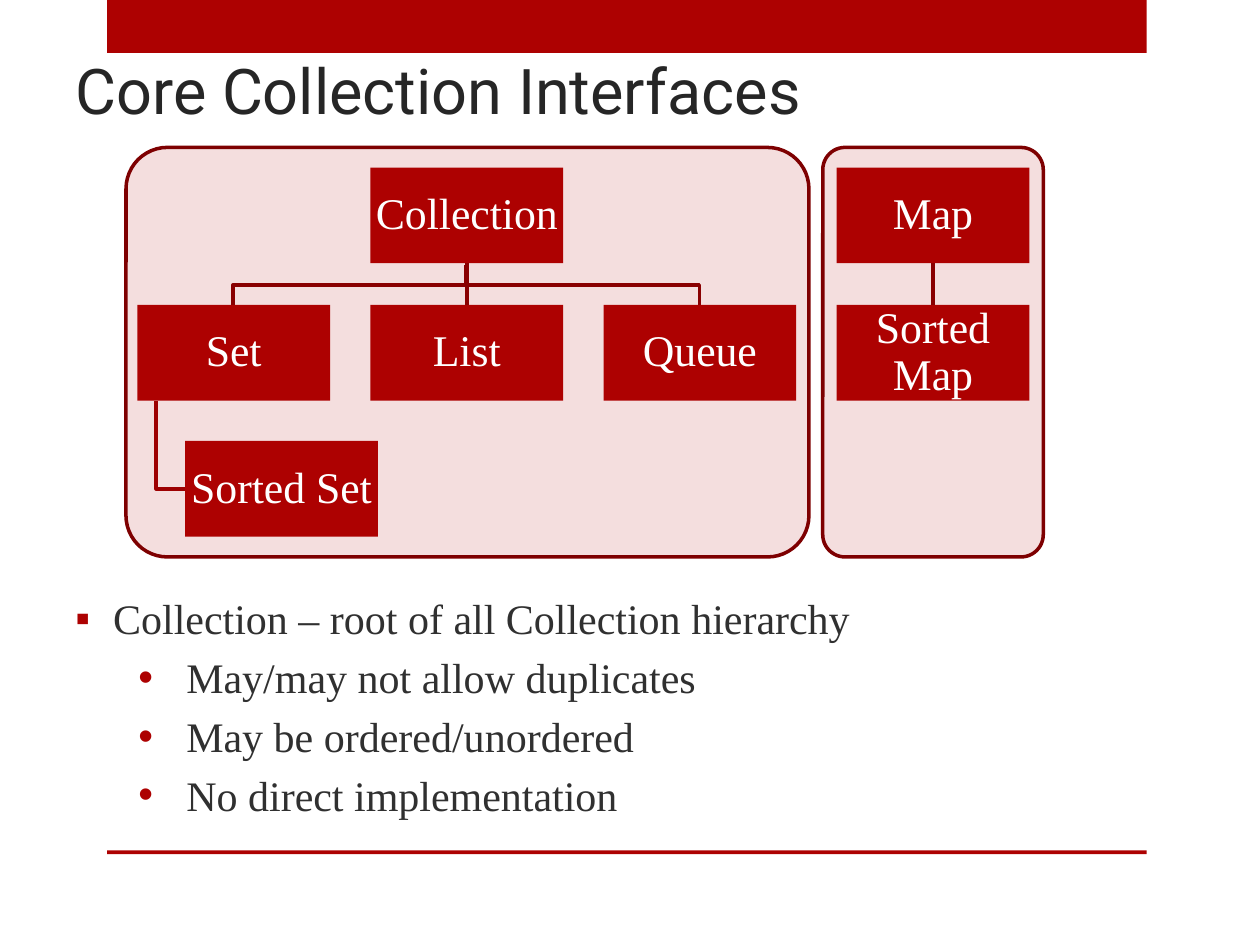
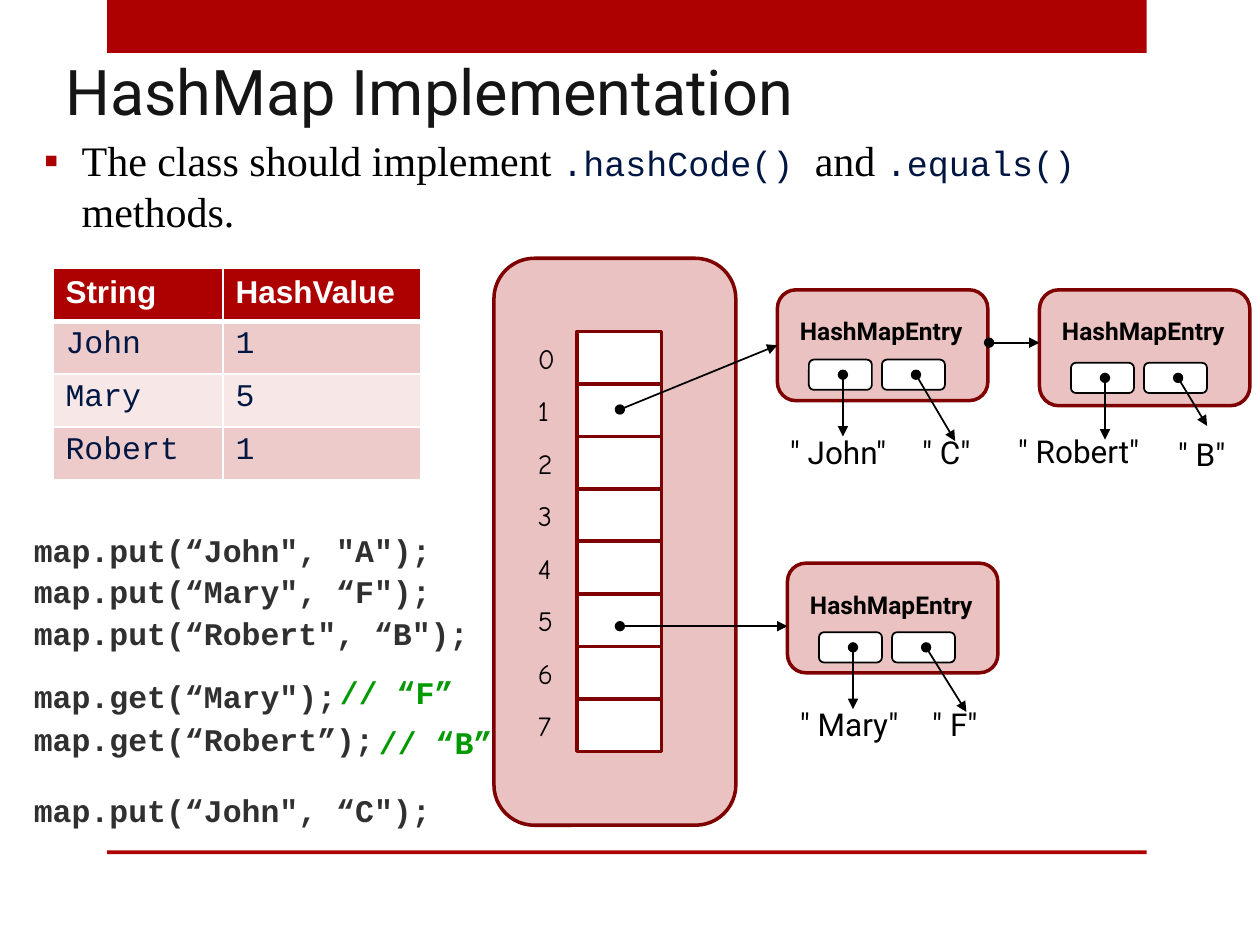
from lxml.etree import SubElement
from pptx import Presentation
from pptx.dml.color import RGBColor
from pptx.enum.shapes import MSO_CONNECTOR, MSO_SHAPE
from pptx.enum.text import MSO_ANCHOR, PP_ALIGN
from pptx.oxml.ns import qn
from pptx.util import Inches, Pt

RED = "AD0101"
DARK_RED = "7E0001"
LINK_RED = "890001"
WHITE = "FFFFFF"
BLACK = "000000"
GREY = "303030"
NAVY = "001642"
GREEN = "009900"
SERIF = "Times New Roman"
CODE = "Courier New"
SANS = "Roboto"


def color(value):
    """Turn a hex string into a colour."""
    return RGBColor.from_string(value)


def inches(values):
    """Turn plain numbers into lengths."""
    return [Inches(value) for value in values]


def style_font(font, name, size, tint, bold=False):
    """Set the four properties used for all text."""
    font.name, font.size, font.bold = name, Pt(size), bold
    font.color.rgb = color(tint)


class Deck:
    """Holds the shared style and draws on the current slide."""

    def __init__(self):
        self.presentation = Presentation()
        self.presentation.slide_width = Inches(10)
        self.presentation.slide_height = Inches(7.5)
        self.slide = None

    def new_slide(self, title, box, tint):
        """Start a slide with its bands and title."""
        layout = self.presentation.slide_layouts[6]
        self.slide = self.presentation.slides.add_slide(layout)
        self.shape((0.85, 0, 8.25, 0.42), RED)
        self.shape((0.85, 6.75, 8.25, 0.03), RED)
        self.text(box, title, SANS, 36, tint, anchor=MSO_ANCHOR.BOTTOM)

    def shape(self, box, fill, line=None, width=2, corner=None, alpha=None):
        """Draw a rectangle, rounded when a corner is given."""
        kind = MSO_SHAPE.RECTANGLE if corner is None else MSO_SHAPE.ROUNDED_RECTANGLE
        shape = self.slide.shapes.add_shape(kind, *inches(box))
        shape.shadow.inherit = False
        if corner is not None:
            shape.adjustments[0] = corner
        shape.fill.solid()
        shape.fill.fore_color.rgb = color(fill)
        if alpha:
            tint = shape.element.spPr.find(qn("a:solidFill")).find(qn("a:srgbClr"))
            SubElement(tint, qn("a:alpha"), val=str(alpha * 1000))
        if line:
            shape.line.color.rgb = color(line)
            shape.line.width = Pt(width)
        else:
            shape.line.fill.background()
        return shape

    def frame(self, box, anchor=MSO_ANCHOR.TOP):
        """Add an empty wrapping text box and return its frame."""
        frame = self.slide.shapes.add_textbox(*inches(box)).text_frame
        frame.word_wrap = True
        frame.vertical_anchor = anchor
        return frame

    def text(self, box, text, font, size, tint, bold=False, anchor=MSO_ANCHOR.TOP):
        """Add one paragraph of text in one style."""
        paragraph = self.frame(box, anchor).paragraphs[0]
        paragraph.text = text
        style_font(paragraph.font, font, size, tint, bold)
        return paragraph

    def code(self, left, top, text, tint=GREY):
        """Add one line of bold code."""
        box = (left, top, 3.77, 0.34)
        self.text(box, text, CODE, 18, tint, True).line_spacing = 0.8

    def node(self, left, top, text):
        """Add a red box of the interface tree."""
        shape = self.shape((left, top, 1.53, 0.76), RED)
        frame = shape.text_frame
        frame.margin_left = frame.margin_right = Inches(0.02)
        frame.margin_top = frame.margin_bottom = Inches(0.02)
        frame.word_wrap = True
        frame.vertical_anchor = MSO_ANCHOR.MIDDLE
        paragraph = frame.paragraphs[0]
        paragraph.text = text
        paragraph.alignment = PP_ALIGN.CENTER
        paragraph.line_spacing = 0.9
        style_font(paragraph.font, SERIF, 25, WHITE)
        return shape

    def bullet(self, paragraph, sign, margin, hanging):
        """Give a paragraph a red bullet and a hanging indent."""
        properties = paragraph._p.get_or_add_pPr()
        properties.set("marL", str(Inches(margin)))
        properties.set("indent", str(-Inches(hanging)))
        tint = SubElement(properties, qn("a:buClr"))
        SubElement(tint, qn("a:srgbClr"), val=RED)
        SubElement(properties, qn("a:buFont"), typeface="Arial")
        SubElement(properties, qn("a:buChar"), char=sign)

    def polyline(self, points, tint):
        """Draw an open bent line."""
        start, *others = [inches(point) for point in points]
        builder = self.slide.shapes.build_freeform(*start)
        builder.add_line_segments(others, close=False)
        shape = builder.convert_to_shape()
        shape.shadow.inherit = False
        shape.fill.background()
        shape.line.color.rgb = color(tint)
        shape.line.width = Pt(2)

    def line(self, start, end, tint=BLACK, width=1, arrow=True):
        """Draw a straight line, by default from a dot to an arrowhead."""
        connector = self.slide.shapes.add_connector(
            MSO_CONNECTOR.STRAIGHT, *inches(start + end))
        connector.line.color.rgb = color(tint)
        connector.line.width = Pt(width)
        properties = connector.element.spPr
        if arrow:
            outline = properties.find(qn("a:ln"))
            SubElement(outline, qn("a:headEnd"), type="oval")
            SubElement(outline, qn("a:tailEnd"), type="triangle")
        SubElement(properties, qn("a:effectLst"))
        return connector

    def link(self, parent, child):
        """Join the bottom of one node to the top of another."""
        connector = self.line((0, 0), (1, 1), LINK_RED, 2, arrow=False)
        connector.begin_connect(parent, 2)
        connector.end_connect(child, 0)

    def table(self, left, top, widths, row_height, rows):
        """Draw a table with a red header and banded rows."""
        size = inches((left, top, sum(widths), row_height * len(rows)))
        table = self.slide.shapes.add_table(len(rows), len(widths), *size).table
        for column, width in zip(table.columns, widths):
            column.width = Inches(width)
        for row_index, row in enumerate(rows):
            fill = RED if row_index == 0 else ("F7E7E7", "EECBCB")[row_index % 2]
            for column_index, text in enumerate(row):
                cell = table.cell(row_index, column_index)
                cell.text = text
                font = cell.text_frame.paragraphs[0].font
                if row_index == 0:
                    style_font(font, "Arial", 18, WHITE, True)
                else:
                    style_font(font, CODE, 18, NAVY)
                self.borders(cell, {"L": 1, "R": 1, "T": 3 if row_index == 1 else 1,
                                    "B": 3 if row_index == 0 else 1})
                cell.fill.solid()
                cell.fill.fore_color.rgb = color(fill)

    def borders(self, cell, widths):
        """Draw white borders around a cell."""
        properties = cell._tc.get_or_add_tcPr()
        for side, width in widths.items():
            border = SubElement(properties, qn("a:ln" + side), w=str(Pt(width)))
            fill = SubElement(border, qn("a:solidFill"))
            SubElement(fill, qn("a:srgbClr"), val=WHITE)

    def entry(self, left, top, height, key, value, value_tip):
        """Draw a map entry whose two fields point at labelled values."""
        shape = self.shape((left, top, 1.67, height), RED, DARK_RED,
                           corner=0.167, alpha=24)
        field_top = top + 0.63 * height
        for offset in (0.25, 0.83):
            self.shape((left + offset, field_top, 0.5, 0.24), WHITE, BLACK, 1, 0.167)
        dot = field_top + 0.12
        self.line((left + 0.52, dot), (left + 0.52, dot + 0.49))
        self.line((left + 1.1, dot), value_tip)
        self.text((left + 0.08, top + 0.16, 1.6, 0.4), "HashMapEntry",
                  SANS, 14, BLACK, True)
        for label_left, label_top, text in (key, value):
            self.text((label_left, label_top, 1.3, 0.4), text, SANS, 18, BLACK)
        return shape


def build_interfaces(deck):
    """Build the slide with the two interface trees."""
    deck.new_slide("Core Collection Interfaces", (0.5, 0.33, 9, 0.73), "262626")
    for left, width in ((1, 5.42), (6.53, 1.75)):
        deck.shape((left, 1.17, width, 3.25), RED, DARK_RED, corner=0.101, alpha=13)

    for end in (1.85, 5.55):
        deck.polyline([(3.7, 2.1), (3.7, 2.26), (end, 2.26), (end, 2.42)], LINK_RED)
    deck.polyline([(1.24, 3.18), (1.24, 3.88), (1.47, 3.88)], "9D0001")

    columns = [1.09 + 1.85 * index for index in range(4)]
    collection = deck.node(columns[1], 1.33, "Collection")
    map_node = deck.node(columns[3], 1.33, "Map")
    names = ("Set", "List", "Queue", "Sorted Map")
    children = [deck.node(left, 2.42, name) for left, name in zip(columns, names)]
    deck.node(1.47, 3.5, "Sorted Set")
    deck.link(collection, children[1])
    deck.link(map_node, children[3])

    frame = deck.frame((0.5, 4.64, 9.42, 1.93), MSO_ANCHOR.MIDDLE)
    lines = ("Collection – root of all Collection hierarchy",
             "May/may not allow duplicates",
             "May be ordered/unordered",
             "No direct implementation")
    for index, text in enumerate(lines):
        paragraph = frame.add_paragraph() if index else frame.paragraphs[0]
        paragraph.text = text
        style_font(paragraph.font, SERIF, 24, GREY)
        if index:
            paragraph.level = 1
            paragraph.space_before = Pt(4.8)
            deck.bullet(paragraph, "•", 0.88, 0.38)
        else:
            deck.bullet(paragraph, "▪", 0.3, 0.3)


def build_hash_map(deck):
    """Build the slide with the bucket array and its entries."""
    deck.new_slide("HashMap Implementation", (0.42, 0.4, 9, 0.67), "151516")
    paragraph = deck.frame((0.25, 1.02, 9.67, 0.9)).paragraphs[0]
    deck.bullet(paragraph, "▪", 0.3, 0.3)
    prose, method = (SERIF, 24, BLACK), (CODE, 20, NAVY)
    for text, style in (("The class should implement ", prose),
                        (".hashCode() ", method), ("and ", prose),
                        (".equals() ", method), ("methods.", prose)):
        run = paragraph.add_run()
        run.text = text
        style_font(run.font, *style)

    deck.shape((3.92, 2.05, 1.92, 4.5), RED, DARK_RED, corner=0.167, alpha=24)
    bucket_height = 5 / 12
    for index in range(8):
        offset = index * bucket_height
        deck.shape((4.58, 2.63 + offset, 0.67, bucket_height), WHITE, DARK_RED)
        deck.text((4.17, 2.66 + offset, 0.4, 0.37), str(index),
                  "Comic Neue", 16, BLACK)

    deck.table(0.42, 2.13, (1.35, 1.57), 0.42,
               (("String", "HashValue"), ("John", "1"), ("Mary", "5"), ("Robert", "1")))

    john = deck.entry(6.17, 2.3, 0.88, (6.17, 3.39, '" John"'),
                      (7.22, 3.39, '" C"'), (7.58, 3.5))
    deck.entry(8.25, 2.3, 0.92, (7.98, 3.38, '" Robert"'),
               (9.25, 3.4, '" B"'), (9.58, 3.38))
    deck.entry(6.25, 4.47, 0.87, (6.25, 5.55, '" Mary"'),
               (7.3, 5.55, '" F"'), (7.67, 5.65))
    deck.line((4.92, 3.25), (6.17, 2.72)).end_connect(john, 1)
    deck.line((7.85, 2.72), (8.25, 2.72))
    deck.line((4.92, 4.97), (6.25, 4.97))

    for top, text in ((4.22, 'map.put(“John", "A");'),
                      (4.55, 'map.put(“Mary", “F");'),
                      (4.88, 'map.put(“Robert", “B");'),
                      (5.38, 'map.get(“Mary");'),
                      (5.72, 'map.get(“Robert”);'),
                      (6.29, 'map.put(“John", “C");')):
        deck.code(0.17, top, text)
    deck.code(2.6, 5.35, "// “F”", GREEN)
    deck.code(2.91, 5.75, "// “B”", GREEN)


def main():
    """Build both slides and save them."""
    deck = Deck()
    build_interfaces(deck)
    build_hash_map(deck)
    deck.presentation.save("out.pptx")


if __name__ == "__main__":
    main()
